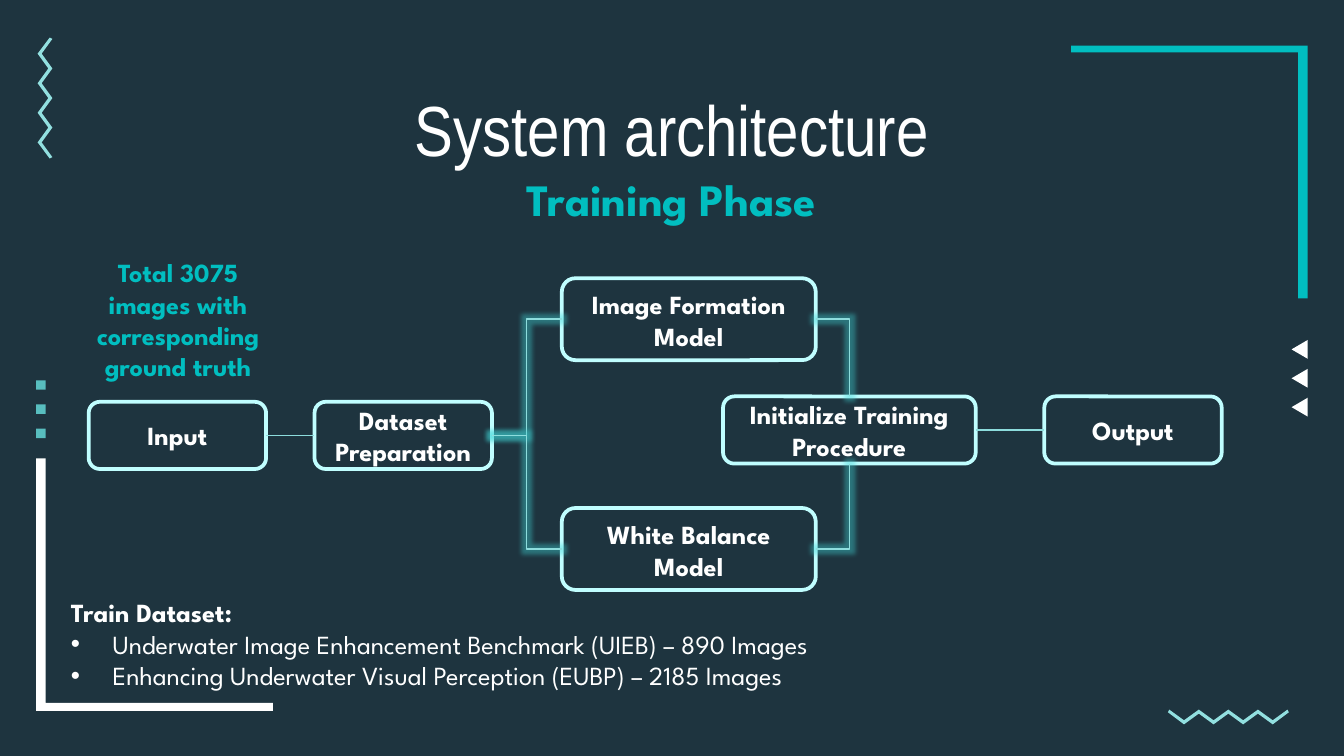
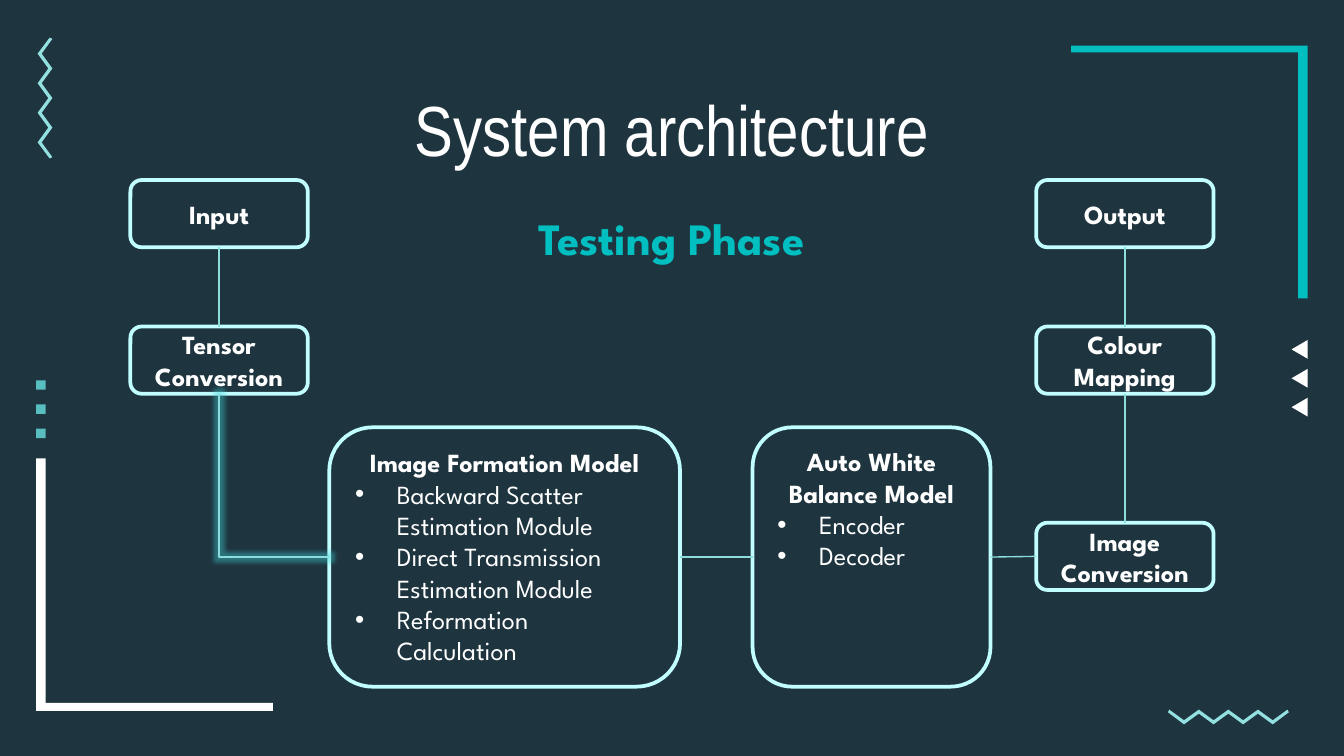
from lxml.etree import SubElement
from pptx import Presentation
from pptx.dml.color import RGBColor
from pptx.enum.shapes import MSO_CONNECTOR, MSO_SHAPE
from pptx.enum.text import MSO_ANCHOR, MSO_AUTO_SIZE, PP_ALIGN
from pptx.oxml.ns import qn
from pptx.util import Inches, Pt

COLORS = {
    "background": "1E343F",
    "white": "FFFFFF",
    "teal": "01BEC0",
    "zigzag": "92E0E0",
    "square": "58BEBF",
    "outline": "C0FEFF",
    "link": "8DDDDD",
    "glow": "40D6D7",
}
TITLE_FONT = "Arial Narrow"
BODY_FONT = "League Spartan"
TOP, LEFT, BOTTOM, RIGHT = range(4)
STEP_SIZE = (1.32, 0.5)
MODEL_SIZE = (1.89, 0.61)


def color(name):
    """Return the named colour."""
    return RGBColor.from_string(COLORS[name])


def paint(shape, fill):
    """Give a shape a plain fill without line or shadow."""
    shape.shadow.inherit = False
    shape.fill.solid()
    shape.fill.fore_color.rgb = color(fill)
    shape.line.fill.background()


def add_outline(page, points, fill):
    """Draw a closed polygon through points given in inches."""
    corners = [(Inches(x), Inches(y)) for x, y in points]
    builder = page.shapes.build_freeform(*corners[0], scale=1.0)
    builder.add_line_segments(corners[1:], close=True)
    paint(builder.convert_to_shape(), fill)


def zigzag_points():
    """Return the zigzag band as distances along and across it."""
    upper = [(0.01 + 0.11 * i, 0.08 * (i % 2)) for i in range(9)]
    lower = [(0.01 + 0.11 * i, 0.11 if i % 2 else 0.03) for i in range(1, 8)]
    return upper + [(0.9, 0.02)] + lower[::-1] + [(0, 0.02)]


def add_decoration(page):
    """Draw the ornaments around the edge of a page."""
    band = zigzag_points()
    add_outline(page, [(8.69 + a, 5.28 + b) for a, b in band], "zigzag")
    add_outline(page, [(0.39 - b, 0.28 + a) for a, b in band], "zigzag")
    for i in range(3):
        y = 2.6 + 0.215 * i
        add_outline(page, [(9.61, y), (9.73, y + 0.07), (9.73, y - 0.07)], "white")
        square = page.shapes.add_shape(
            MSO_SHAPE.RECTANGLE, Inches(0.27), Inches(2.83 + 0.18 * i),
            Inches(0.07), Inches(0.07))
        paint(square, "square")
    add_outline(page, [(7.97, 0.34), (7.97, 0.39), (9.66, 0.39),
                       (9.66, 2.22), (9.73, 2.22), (9.73, 0.34)], "teal")
    add_outline(page, [(0.27, 3.41), (0.27, 5.29), (2.03, 5.29),
                       (2.03, 5.23), (0.34, 5.23), (0.34, 3.41)], "white")


def add_bullet(para):
    """Turn a paragraph into a bullet with a hanging indent."""
    properties = para._p.get_or_add_pPr()
    properties.set("marL", str(Inches(0.31)))
    properties.set("indent", str(-Inches(0.31)))
    SubElement(properties, qn("a:buFont")).set("typeface", "Arial")
    SubElement(properties, qn("a:buChar")).set("char", "•")


def write(para, text, size=14, bold=True, ink="white", font=BODY_FONT, align=PP_ALIGN.CENTER):
    """Add one styled run to a paragraph."""
    para.alignment = align
    span = para.add_run()
    span.text = text
    span.font.size = Pt(size)
    span.font.bold = bold
    span.font.name = font
    span.font.color.rgb = color(ink)


def write_list(frame, heading, bullets, align=PP_ALIGN.CENTER):
    """Write a bold heading with bullets under it."""
    write(frame.paragraphs[0], heading, align=align)
    for text in bullets:
        para = frame.add_paragraph()
        add_bullet(para)
        write(para, text, bold=False, align=PP_ALIGN.LEFT)


def add_text_box(page, left, top, width, height, wrap=True, grow=True):
    """Add an empty text box and return its frame."""
    box = page.shapes.add_textbox(Inches(left), Inches(top), Inches(width), Inches(height))
    frame = box.text_frame
    frame.word_wrap = wrap
    frame.auto_size = MSO_AUTO_SIZE.SHAPE_TO_FIT_TEXT if grow else MSO_AUTO_SIZE.NONE
    return frame


def add_phase(page, text, left, top, width):
    """Add the teal name of the phase."""
    frame = add_text_box(page, left, top, width, 0.5, wrap=False)
    write(frame.paragraphs[0], text, size=24, ink="teal")


def add_box(page, text, left, top, size=STEP_SIZE, bullets=(), anchor=MSO_ANCHOR.MIDDLE):
    """Add a rounded box of the diagram."""
    box = page.shapes.add_shape(
        MSO_SHAPE.ROUNDED_RECTANGLE, Inches(left), Inches(top), *map(Inches, size))
    box.shadow.inherit = False
    box.fill.background()
    box.line.color.rgb = color("outline")
    box.line.width = Pt(2)
    box.text_frame.word_wrap = True
    box.text_frame.vertical_anchor = anchor
    write_list(box.text_frame, text, bullets)
    return box


def add_link(page, start, start_side, end, end_side, geometry="line"):
    """Join two boxes; bent links glow."""
    bent = geometry != "line"
    kind = MSO_CONNECTOR.ELBOW if bent else MSO_CONNECTOR.STRAIGHT
    link = page.shapes.add_connector(kind, 0, 0, 0, 0)
    link.begin_connect(start, start_side)
    link.end_connect(end, end_side)
    link.line.color.rgb = color("link")
    link.line.width = Pt(0.75)
    properties = link._element.spPr
    properties.find(qn("a:prstGeom")).set("prst", geometry)
    effects = SubElement(properties, qn("a:effectLst"))
    if bent:
        glow = SubElement(effects, qn("a:glow"), rad=str(Pt(5)))
        tint = SubElement(glow, qn("a:srgbClr"), val=COLORS["glow"])
        SubElement(tint, qn("a:alpha"), val="40000")


def add_page(deck):
    """Add a page with the shared ornaments and title."""
    page = deck.slides.add_slide(deck.slide_layouts[6])
    add_decoration(page)
    frame = add_text_box(page, 0.78, 0.59, 8.44, 0.68, grow=False)
    write(frame.paragraphs[0], "System architecture", size=38, bold=False, font=TITLE_FONT)
    return page


def add_training_page(deck):
    """Build the training phase."""
    page = add_page(deck)
    source = add_box(page, "Input", 0.66, 2.99)
    dataset = add_box(page, "Dataset Preparation", 2.34, 2.99)
    models = [add_box(page, text, 4.18, top, MODEL_SIZE, anchor=MSO_ANCHOR.TOP)
              for text, top in (("Image Formation Model", 2.07), ("White Balance Model", 3.78))]
    training = add_box(page, "Initialize Training Procedure", 5.38, 2.95, (1.88, 0.5))
    output = add_box(page, "Output", 7.77, 2.95)
    add_link(page, source, RIGHT, dataset, LEFT)
    add_link(page, training, RIGHT, output, LEFT)
    for model, side in zip(models, (TOP, BOTTOM)):
        add_link(page, dataset, RIGHT, model, LEFT, "bentConnector3")
        add_link(page, model, RIGHT, training, side, "bentConnector2")
    add_phase(page, "Training Phase", 3.73, 1.23, 2.53)
    write_list(
        add_text_box(page, 0.43, 4.39, 7.5, 0.81), "Train Dataset:",
        ["Underwater Image Enhancement Benchmark (UIEB) – 890 Images",
         "Enhancing Underwater Visual Perception (EUBP) – 2185 Images"],
        align=PP_ALIGN.LEFT)
    note = add_text_box(page, 0.57, 1.86, 1.51, 1.04)
    write(note.paragraphs[0], "Total 3075 images with corresponding ground truth", ink="teal")


def add_testing_page(deck):
    """Build the testing phase."""
    page = add_page(deck)
    source = add_box(page, "Input", 0.97, 1.34)
    tensor = add_box(page, "Tensor Conversion", 0.97, 2.43)
    formation = add_box(
        page, "Image Formation Model", 2.45, 3.18, (2.61, 1.93),
        ["Backward Scatter Estimation Module", "Direct Transmission Estimation Module",
         "Reformation Calculation"], MSO_ANCHOR.TOP)
    balance = add_box(page, "Auto White Balance Model", 5.6, 3.18, (1.77, 1.93),
                      ["Encoder", "Decoder"], MSO_ANCHOR.TOP)
    conversion = add_box(page, "Image Conversion", 7.71, 3.89)
    mapping = add_box(page, "Colour Mapping", 7.71, 2.43)
    output = add_box(page, "Output", 7.71, 1.34)
    add_link(page, source, BOTTOM, tensor, TOP)
    add_link(page, formation, LEFT, tensor, BOTTOM, "bentConnector2")
    add_link(page, formation, RIGHT, balance, LEFT)
    add_link(page, balance, RIGHT, conversion, LEFT)
    add_link(page, conversion, TOP, mapping, BOTTOM)
    add_link(page, mapping, TOP, output, BOTTOM)
    add_phase(page, "Testing Phase", 3.79, 1.52, 2.41)


def main():
    """Build and save the deck."""
    deck = Presentation()
    deck.slide_width = Inches(10)
    deck.slide_height = Inches(10) * 9 // 16
    backdrop = deck.slide_master.background.fill
    backdrop.solid()
    backdrop.fore_color.rgb = color("background")
    add_training_page(deck)
    add_testing_page(deck)
    deck.save("out.pptx")


if __name__ == "__main__":
    main()
